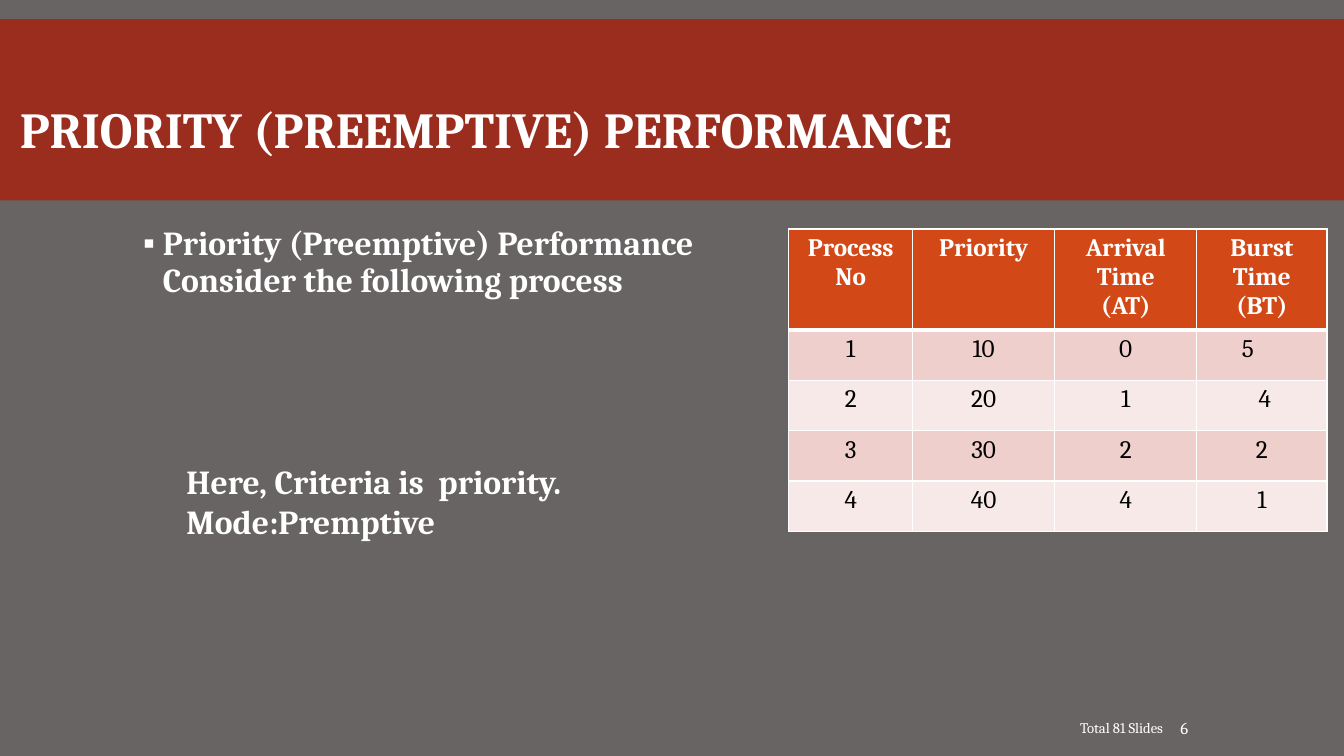
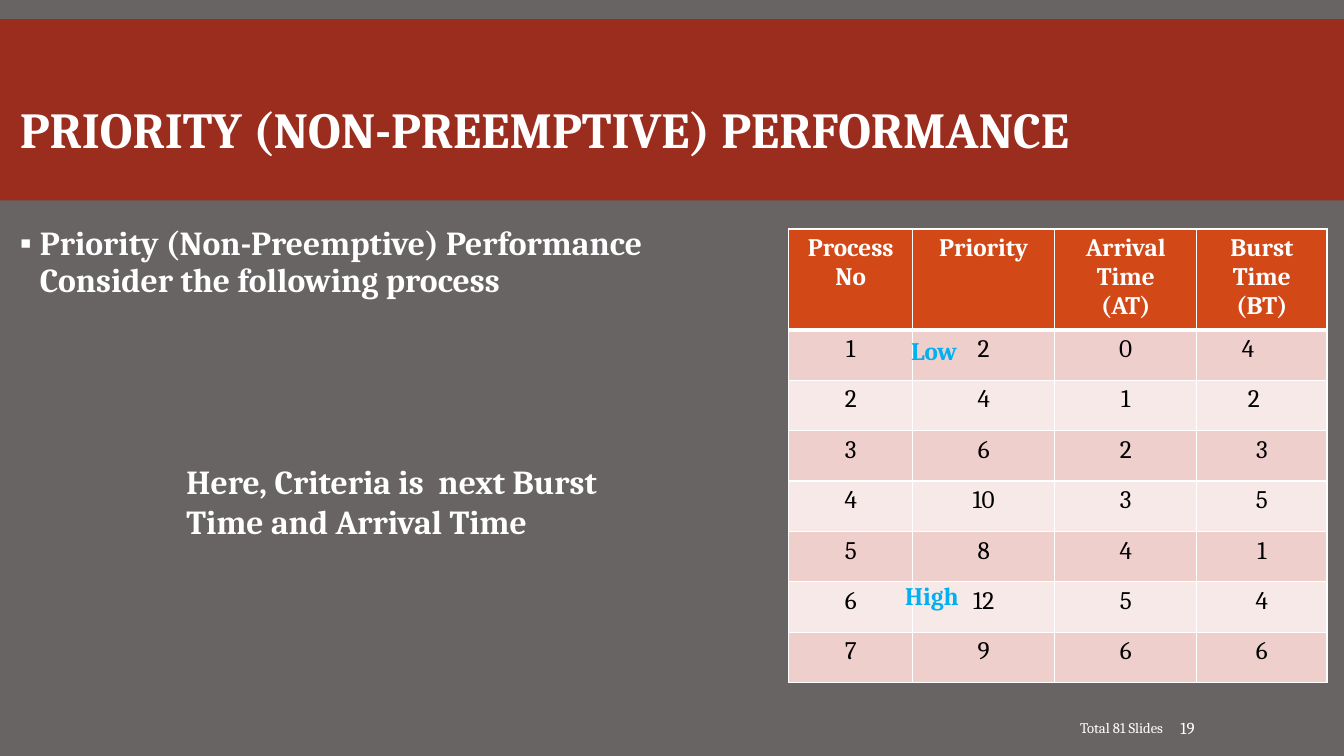
from dataclasses import dataclass

import lxml.etree
import pptx
import pptx.dml.color
import pptx.enum.shapes
import pptx.enum.text
import pptx.oxml.ns
import pptx.util

Cm = pptx.util.Cm
Pt = pptx.util.Pt
ALIGN = pptx.enum.text.PP_ALIGN
MIDDLE = pptx.enum.text.MSO_ANCHOR.MIDDLE
qn = pptx.oxml.ns.qn

FONT = "Cambria"
WHITE, BLACK, SKY = "FFFFFF", "000000", "00B0F0"
GREY, BRICK, ORANGE = "696464", "9B2D1F", "D34817"
ROW_FILLS = ("EFCFCC", "F7E9E8")
SLIDE_WIDTH, SLIDE_HEIGHT = 33.87, 19.05
HEADINGS = ("Process No", "Priority", "Arrival Time\n(AT)", "Burst Time (BT)")
COLUMN_WIDTHS = (3.12, 3.58, 3.58, 3.28)
ROW_HEIGHT = 1.27
CELL_MARGIN = 0.25


@dataclass(frozen=True)
class Label:
    text: str
    left: float
    top: float
    width: float
    height: float
    size: float
    color: str = WHITE
    bold: bool = True
    align: ALIGN = ALIGN.LEFT
    anchor: pptx.enum.text.MSO_ANCHOR = pptx.enum.text.MSO_ANCHOR.TOP
    inset: float = 0.25


@dataclass(frozen=True)
class Lesson:
    title: str
    task: str
    task_left: float
    criteria: str
    number: str
    processes: tuple[tuple[int, int, int, int], ...]
    burst_shifts: dict[int, float]
    marks: tuple[Label, ...] = ()


LESSONS = (
    Lesson(
        "PRIORITY (PREEMPTIVE) PERFORMANCE",
        "Priority (Preemptive) Performance\vConsider the following process",
        3.35,
        "Here, Criteria is  priority.\nMode:Premptive",
        "6",
        ((1, 10, 0, 5), (2, 20, 1, 4), (3, 30, 2, 2), (4, 40, 4, 1)),
        {1: -0.7, 2: 0.15},
    ),
    Lesson(
        "PRIORITY (NON-PREEMPTIVE) PERFORMANCE",
        "Priority (Non-Preemptive) Performance\vConsider the following process",
        0.25,
        "Here, Criteria is  next Burst Time and Arrival Time",
        "19",
        ((1, 2, 0, 4), (2, 4, 1, 2), (3, 6, 2, 3), (4, 10, 3, 5),
         (5, 8, 4, 1), (6, 12, 5, 4), (7, 9, 6, 6)),
        {1: -0.7, 2: -0.4},
        (Label("High", 22.56, 14.5, 2.34, 1.02, 18, SKY),
         Label("Low", 22.71, 8.33, 2.18, 1.02, 18, SKY)),
    ),
)


def rgb(color: str) -> pptx.dml.color.RGBColor:
    return pptx.dml.color.RGBColor.from_string(color)


def paint(shape, color: str) -> None:
    shape.fill.solid()
    shape.fill.fore_color.rgb = rgb(color)


def place(shape, left: float, top: float, width: float, height: float) -> None:
    shape.left, shape.top = Cm(left), Cm(top)
    shape.width, shape.height = Cm(width), Cm(height)


def write(frame, text: str, size: float, color: str = WHITE,
          bold: bool = True, align: ALIGN = ALIGN.LEFT) -> None:
    frame.text = text
    for paragraph in frame.paragraphs:
        paragraph.alignment = align
        for run in paragraph.runs:
            run.font.name = FONT
            run.font.size = Pt(size)
            run.font.bold = bold
            run.font.color.rgb = rgb(color)


def add_label(slide, label: Label) -> None:
    box = slide.shapes.add_textbox(
        Cm(label.left), Cm(label.top), Cm(label.width), Cm(label.height))
    frame = box.text_frame
    frame.word_wrap = True
    frame.vertical_anchor = label.anchor
    frame.margin_left = Cm(label.inset)
    write(frame, label.text, label.size, label.color, label.bold, label.align)


def add_layout_band(slide) -> None:
    band = slide.shapes.add_shape(
        pptx.enum.shapes.MSO_SHAPE.RECTANGLE,
        Cm(0), Cm(0.48), Cm(SLIDE_WIDTH), Cm(4.57))
    paint(band, BRICK)
    band.line.fill.background()
    band.shadow.inherit = False
    band.element.xpath(".//p:cNvPr")[0].set("id", "20")
    slide.slide_layout.shapes.element.insert(2, band.element)


def fill_title(title, text: str) -> None:
    place(title, 0, 0.5, SLIDE_WIDTH, 4.53)
    paint(title, BRICK)
    frame = title.text_frame
    frame.auto_size = pptx.enum.text.MSO_AUTO_SIZE.NONE
    frame.vertical_anchor = MIDDLE
    frame.margin_left = Cm(0.5)
    frame.margin_top, frame.margin_bottom = Cm(1.3), Cm(0.13)
    write(frame, text, 36)
    frame.paragraphs[0].line_spacing = 0.85


def fill_task(body, text: str, left: float) -> None:
    place(body, left, 5.59, 30.5 - left, 11.68)
    frame = body.text_frame
    frame.auto_size = pptx.enum.text.MSO_AUTO_SIZE.NONE
    write(frame, text, 24)
    task = frame.paragraphs[0]
    task.line_spacing = 0.9
    task.space_before, task.space_after = Pt(12), Pt(2)
    properties = task._p.get_or_add_pPr()
    properties.set("marL", str(Cm(0.5)))
    properties.set("indent", str(-Cm(0.5)))
    bullet = lxml.etree.SubElement(properties, qn("a:buChar"))
    bullet.set("char", "▪")


def set_borders(cell, top: float, bottom: float) -> None:
    properties = cell._tc.get_or_add_tcPr()
    widths = {"a:lnL": 1, "a:lnR": 1, "a:lnT": top, "a:lnB": bottom}
    for position, (side, width) in enumerate(widths.items()):
        border = lxml.etree.Element(qn(side), w=str(Pt(width)))
        fill = lxml.etree.SubElement(border, qn("a:solidFill"))
        lxml.etree.SubElement(fill, qn("a:srgbClr"), val=WHITE)
        properties.insert(position, border)


def add_process_table(slide, lesson: Lesson) -> None:
    rows = (HEADINGS, *lesson.processes)
    table = slide.shapes.add_table(
        len(rows), len(HEADINGS), Cm(19.88), Cm(5.77),
        Cm(sum(COLUMN_WIDTHS)), Cm(ROW_HEIGHT * len(rows))).table
    for column, width in zip(table.columns, COLUMN_WIDTHS):
        column.width = Cm(width)
    for r, values in enumerate(rows):
        heading = r == 0
        table.rows[r].height = Cm(ROW_HEIGHT)
        for c, value in enumerate(values):
            cell = table.cell(r, c)
            paint(cell, ORANGE if heading else ROW_FILLS[(r - 1) % 2])
            write(cell.text_frame, str(value), 18,
                  WHITE if heading else BLACK, heading, ALIGN.CENTER)
            set_borders(cell, 3 if r == 1 else 1, 3 if heading else 1)
    for r, shift in lesson.burst_shifts.items():
        burst = table.cell(r, 3)
        burst.margin_left = Cm(CELL_MARGIN + max(shift, 0))
        burst.margin_right = Cm(CELL_MARGIN + max(-shift, 0))


def add_footer(slide, number: str) -> None:
    add_label(slide, Label("Total 81 Slides", 15.54, 17.83, 14.02, 1.02, 10.5,
                           bold=False, align=ALIGN.RIGHT, anchor=MIDDLE))
    add_label(slide, Label(number, 29.62, 17.83, 2.62, 1.02, 12,
                           bold=False, anchor=MIDDLE, inset=0.13))


def add_lesson(deck, lesson: Lesson):
    slide = deck.slides.add_slide(deck.slide_layouts[1])
    fill_title(slide.shapes.title, lesson.title)
    fill_task(slide.placeholders[1], lesson.task, lesson.task_left)
    add_footer(slide, lesson.number)
    add_label(slide, Label(lesson.criteria, 4.45, 11.48, 12.67, 2.31, 24))
    add_process_table(slide, lesson)
    for mark in lesson.marks:
        add_label(slide, mark)
    return slide


def main() -> None:
    deck = pptx.Presentation()
    deck.slide_width, deck.slide_height = Cm(SLIDE_WIDTH), Cm(SLIDE_HEIGHT)
    background = deck.slide_master.background.fill
    background.solid()
    background.fore_color.rgb = rgb(GREY)
    slides = [add_lesson(deck, lesson) for lesson in LESSONS]
    add_layout_band(slides[0])
    deck.save("out.pptx")


main()
